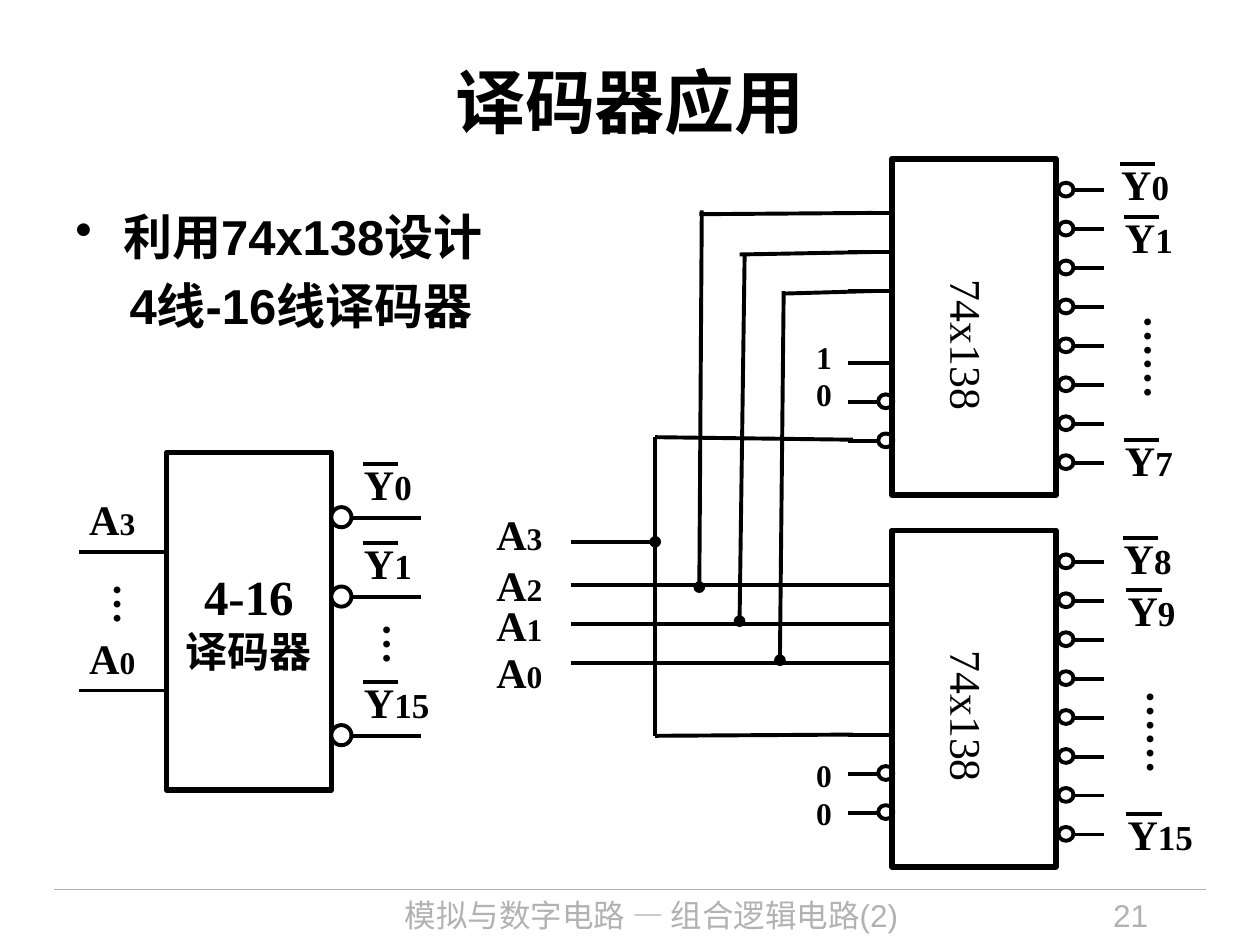
import pptx
import pptx.dml.color
import pptx.enum.shapes
import pptx.enum.text
import pptx.oxml.ns
import pptx.util
from lxml import etree

BLACK = pptx.dml.color.RGBColor(0x00, 0x00, 0x00)
WHITE = pptx.dml.color.RGBColor(0xFF, 0xFF, 0xFF)
GRAY = pptx.dml.color.RGBColor(0xB2, 0xB2, 0xB2)
SANS = "Arial"
SERIF = "Times New Roman"
COLUMNS, ROWS = 100, 75
ALIGN = pptx.enum.text.PP_ALIGN
ANCHOR = pptx.enum.text.MSO_ANCHOR
SHAPE = pptx.enum.shapes.MSO_SHAPE
qn = pptx.oxml.ns.qn


class CircuitPage:
    def __init__(self, deck):
        self.page = deck.slides.add_slide(deck.slide_layouts[6])
        self.column = deck.slide_width / COLUMNS
        self.row = deck.slide_height / ROWS

    def place(self, *grid):
        units = (self.column, self.row) * 2
        return [pptx.util.Emu(round(value * unit)) for value, unit in zip(grid, units)]

    def format(self, span, size, font=SERIF, bold=True, color=BLACK):
        span.font.size = pptx.util.Pt(size)
        span.font.name = font
        span.font.bold = bold
        span.font.color.rgb = color

    def text(self, left, top, width, height, content, size, font=SERIF, bold=True,
             color=BLACK, align=ALIGN.LEFT, anchor=ANCHOR.TOP):
        box = self.page.shapes.add_textbox(*self.place(left, top, width, height))
        frame = box.text_frame
        frame.word_wrap = True
        frame.vertical_anchor = anchor
        frame.text = content
        for para in frame.paragraphs:
            para.alignment = align
            for span in para.runs:
                self.format(span, size, font, bold, color)
        return frame

    def label(self, left, top, width, height, content, size, vertical=False, inset=None, bold=True):
        frame = self.text(left, top, width, height, content, size, bold=bold)
        frame.word_wrap = False
        frame.auto_size = pptx.enum.text.MSO_AUTO_SIZE.SHAPE_TO_FIT_TEXT
        if vertical:
            frame._txBody.bodyPr.set("vert", "eaVert")
        if inset is not None:
            frame.margin_left = frame.margin_right = inset
            frame.margin_top = frame.margin_bottom = inset
        return frame

    def signal(self, left, top, letter, index, size):
        width = 5.8 if len(index) == 1 else 7.2
        para = self.label(left, top, width, 5, letter, 24).paragraphs[0]
        span = para.add_run()
        span.text = index
        self.format(span, size)

    def inverted(self, left, top, index):
        self.signal(left, top, "Y", index, 20)
        self.wire((left + 0.9, top + 0.9), (left + 3.7, top + 0.9))

    def wire(self, start, end, junction=False, color=BLACK, weight=2.25):
        line = self.page.shapes.add_connector(
            pptx.enum.shapes.MSO_CONNECTOR.STRAIGHT, *self.place(*start, *end))
        line.line.color.rgb = color
        line.line.width = pptx.util.Pt(weight)
        if junction:
            etree.SubElement(line.line._get_or_add_ln(), qn("a:headEnd"), type="oval")
        etree.SubElement(line._element.spPr, qn("a:effectLst"))

    def shape(self, kind, left, top, width, height, weight=2.25, fill=WHITE):
        shape = self.page.shapes.add_shape(kind, *self.place(left, top, width, height))
        shape.shadow.inherit = False
        if fill is None:
            shape.fill.background()
        else:
            shape.fill.solid()
            shape.fill.fore_color.rgb = fill
        shape.line.color.rgb = BLACK
        shape.line.width = pptx.util.Pt(weight)
        return shape

    def bubble(self, left, middle):
        self.shape(SHAPE.OVAL, left, middle - 0.6, 1.2, 1.1, fill=None)

    def chip(self, top):
        self.shape(SHAPE.RECTANGLE, 70.8, top, 13, 26.7, weight=3.25)
        self.label(75.8, top + 9.55, 3.1, 7.4, "74x138", 25, vertical=True, inset=0, bold=False)
        for output in range(8):
            middle = top + 2.5 + 3.09 * output
            self.bubble(84, middle)
            self.wire((85.2, middle), (87.6, middle))
        for offset in (4.3, 7.4, 10.5, 16.2):
            self.wire((67.3, top + offset), (70.9, top + offset))
        for offset in (19.3, 22.4):
            self.bubble(69.7, top + offset)
            self.wire((67.3, top + offset), (69.7, top + offset))

    def decoder(self):
        box = self.shape(SHAPE.RECTANGLE, 13.2, 35.9, 13.1, 26.8, weight=3, fill=None)
        frame = box.text_frame
        frame.word_wrap = False
        frame.vertical_anchor = ANCHOR.MIDDLE
        frame.text = "4-16\n译码器"
        for para, size, font in zip(frame.paragraphs, (28, 24), (SERIF, SANS)):
            para.alignment = ALIGN.CENTER
            self.format(para.runs[0], size, font)
        for index, top in (("3", 38.7), ("0", 49.7)):
            self.signal(6.1, top, "A", index, 18)
            self.wire((6.3, top + 5.1), (13, top + 5.1))
        for index, top in (("0", 35.9), ("1", 42.2), ("15", 53.2)):
            self.inverted(27.9, top, index)
            self.wire((26.3, top + 5.2), (33.4, top + 5.2))
            self.shape(SHAPE.OVAL, 26.3, top + 4.35, 1.6, 1.6)
        for left, top in ((6.9, 45.3), (28.3, 48.5)):
            self.label(left, top, 6, 4.3, "…", 24, vertical=True)

    def bullets(self, left, top, width, height, lines):
        frame = self.text(left, top, width, height, "\n".join(lines), 28, SANS)
        first, second = frame.paragraphs
        for para, margin, indent in ((first, 0.38, -0.38), (second, 0.43, 0)):
            properties = para._p.get_or_add_pPr()
            properties.set("marL", str(pptx.util.Inches(margin)))
            properties.set("indent", str(pptx.util.Inches(indent)))
            para.space_after = pptx.util.Pt(5.6)
        etree.SubElement(first._p.get_or_add_pPr(), qn("a:buChar"), char="•")


def main():
    deck = pptx.Presentation()
    deck.slide_width = pptx.util.Inches(10)
    deck.slide_height = pptx.util.Inches(7.5)
    page = CircuitPage(deck)

    page.wire((4.3, 70.6), (95.7, 70.6), color=GRAY, weight=0.75)
    page.text(24.9, 70.6, 53.6, 4.4, "模拟与数字电路 — 组合逻辑电路(2)", 18, SANS, False, GRAY, ALIGN.CENTER)
    page.text(78.8, 70.6, 13.3, 4.4, "21", 18, SANS, False, GRAY, ALIGN.RIGHT)
    page.text(5, 1.7, 90, 12.5, "译码器应用", 40, SANS, align=ALIGN.CENTER, anchor=ANCHOR.MIDDLE)
    page.bullets(5, 15.9, 90, 7.1, ("利用74x138设计", "4线-16线译码器"))

    page.decoder()
    for top in (42.1, 12.6):
        page.chip(top)

    for left, top, index in ((88, 12.1, "0"), (88.3, 16.3, "1"), (88.3, 34, "7"),
                             (88.2, 41.8, "8"), (88.5, 45.9, "9"), (88.5, 63.7, "15")):
        page.inverted(left, top, index)
    for left, top in ((88.6, 24.1), (88.8, 53.8)):
        page.label(left, top, 6.1, 7.7, "……", 24, vertical=True)
    for index, top in (("3", 39.9), ("2", 43.9), ("1", 47.1), ("0", 50.8)):
        page.signal(38.4, top, "A", index, 18)

    for level in (46.4, 49.5, 52.6):
        page.wire((45.3, level), (67.6, level))
    page.wire((52, 43), (45.3, 43), junction=True)
    for tap, corner, branch, end in (
            ((61.9, 52.4), (62.2, 23.1), (62.2, 23.3), (69.3, 23.1)),
            ((58.7, 49.3), (59.1, 20.2), (58.7, 20.2), (69.3, 20)),
            ((55.5, 46.6), (55.7, 16.7), (55.5, 17), (69.3, 16.9))):
        page.wire(tap, corner, junction=True)
        page.wire(branch, end)
    page.wire((52, 58.4), (52, 34.7))
    page.wire((52, 34.7), (67.7, 34.9))
    page.wire((52, 58.4), (67.7, 58.3))
    for top, levels in ((59.5, "0\n0"), (26.3, "1\n0")):
        page.label(63.8, top, 3.3, 7.1, levels, 18)

    deck.save("out.pptx")


if __name__ == "__main__":
    main()
